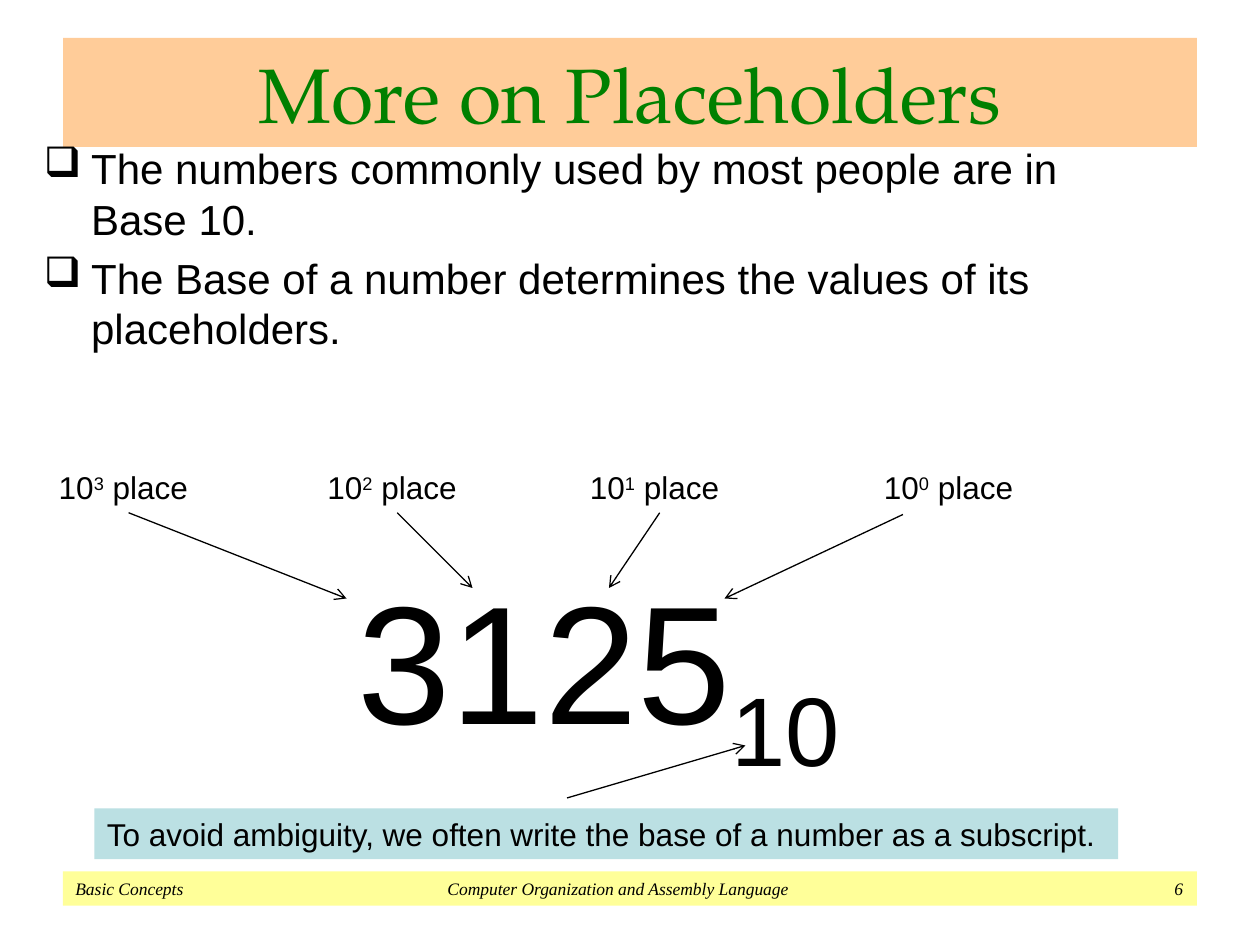
import pptx
import pptx.dml.color
import pptx.enum.shapes
import pptx.enum.text
import pptx.oxml
import pptx.oxml.ns
import pptx.util

Pt = pptx.util.Pt
RGBColor = pptx.dml.color.RGBColor
ALIGN = pptx.enum.text.PP_ALIGN
ANCHOR = pptx.enum.text.MSO_ANCHOR
RECT = pptx.enum.shapes.MSO_SHAPE.RECTANGLE
STRAIGHT = pptx.enum.shapes.MSO_CONNECTOR.STRAIGHT
qn = pptx.oxml.ns.qn
NS = pptx.oxml.ns.nsdecls("a")

BLACK = RGBColor(0, 0, 0)
GREEN = RGBColor(0, 0x80, 0)
PEACH = RGBColor(0xFF, 0xCC, 0x99)
YELLOW = RGBColor(0xFF, 0xFF, 0x99)
PALE_TEAL = RGBColor(0xBB, 0xE0, 0xE3)


def write(p, text, size=18, name="Arial", color=BLACK, italic=False, baseline=0,
          align=ALIGN.LEFT):
    """Add a run to p; baseline is a percentage, negative for a subscript."""
    p.alignment = align
    r = p.add_run()
    r.text = text
    r.font.size = Pt(size)
    r.font.name = name
    r.font.color.rgb = color
    r.font.italic = italic
    if baseline:
        r.font._element.set("baseline", str(baseline * 1000))


def add_arrow(x1, y1, x2, y2):
    s = slide.shapes.add_connector(STRAIGHT, Pt(x1), Pt(y1), Pt(x2), Pt(y2))
    s.line.color.rgb = BLACK
    s.line.width = Pt(0.75)
    s.line._get_or_add_ln().append(
        pptx.oxml.parse_xml(f'<a:tailEnd {NS} type="arrow"/>'))
    s._element.spPr.append(pptx.oxml.parse_xml(f"<a:effectLst {NS}/>"))
    return s


prs = pptx.Presentation()
prs.slide_width, prs.slide_height = Pt(720), Pt(540)
slide = prs.slides.add_slide(prs.slide_layouts[5])

# Title
title = slide.shapes.title
title.left, title.top, title.width, title.height = Pt(36), Pt(21.6), Pt(648), Pt(62.4)
title.fill.solid()
title.fill.fore_color.rgb = PEACH
tf = title.text_frame
tf.auto_size = pptx.enum.text.MSO_AUTO_SIZE.NONE
tf.vertical_anchor = ANCHOR.MIDDLE
write(tf.paragraphs[0], "More on Placeholders", size=44, name="TeX Gyre Pagella",
      color=GREEN, align=ALIGN.CENTER)

# Footer and subscript note
bars = []
for left, top, width, height, fill in (
    (36, 498, 648, 19.5, YELLOW),
    (54, 462, 585, 29, PALE_TEAL),
):
    s = slide.shapes.add_shape(RECT, Pt(left), Pt(top), Pt(width), Pt(height))
    s.shadow.inherit = False
    s.fill.solid()
    s.fill.fore_color.rgb = fill
    s.line.fill.background()
    s.text_frame.vertical_anchor = ANCHOR.TOP
    bars.append(s)
footer, note = bars

p = footer.text_frame.paragraphs[0]
p._p.get_or_add_pPr().append(pptx.oxml.parse_xml(
    f'<a:tabLst {NS}><a:tab pos="{Pt(310)}" algn="ctr"/>'
    f'<a:tab pos="{Pt(633)}" algn="r"/></a:tabLst>'))
write(p, "Basic Concepts\tComputer Organization and Assembly Language\t6",
      size=10, name="Times New Roman", italic=True)

note.text_frame.word_wrap = False
write(note.text_frame.paragraphs[0],
      "To avoid ambiguity, we often write the base of a number as a subscript.")

# Bullets
body = slide.shapes.add_textbox(Pt(18), Pt(78), Pt(648), Pt(160))
tf = body.text_frame
tf.word_wrap = True
for i, text in enumerate((
    "The numbers commonly used by most people are in Base 10.",
    "The Base of a number determines the values of its placeholders.",
)):
    p = tf.add_paragraph() if i else tf.paragraphs[0]
    pPr = p._p.get_or_add_pPr()
    pPr.set("marL", str(Pt(27)))
    pPr.set("indent", str(Pt(-27)))
    pPr.append(pptx.oxml.parse_xml(f'<a:buChar {NS} char="❑"/>'))
    if i:
        p.space_before = Pt(5)
    write(p, text, size=24)

# The number with its base
number = slide.shapes.add_textbox(Pt(-18), Pt(314.5), Pt(720), Pt(124))
number.text_frame.word_wrap = True
p = number.text_frame.paragraphs[0]
write(p, "3125", size=96, align=ALIGN.CENTER)
write(p, "10", size=96, baseline=-25, align=ALIGN.CENTER)

# Place labels, each with an arrow to its digit
for power, left, x, y in (
    ("3", 26.5, 198, 342),
    ("2", 180, 270, 336),
    ("1", 330, 348, 336),
    ("0", 498, 414, 342),
):
    label = slide.shapes.add_textbox(Pt(left), Pt(264), Pt(94), Pt(29))
    label.text_frame.word_wrap = False
    p = label.text_frame.paragraphs[0]
    write(p, "10")
    write(p, power, baseline=30)
    write(p, " place")
    if power == "0":
        add_arrow(516, 294, x, y)
    else:
        add_arrow(left + 47, 293, x, y).begin_connect(label, 2)

add_arrow(324, 456, 426, 426)

prs.save("out.pptx")
